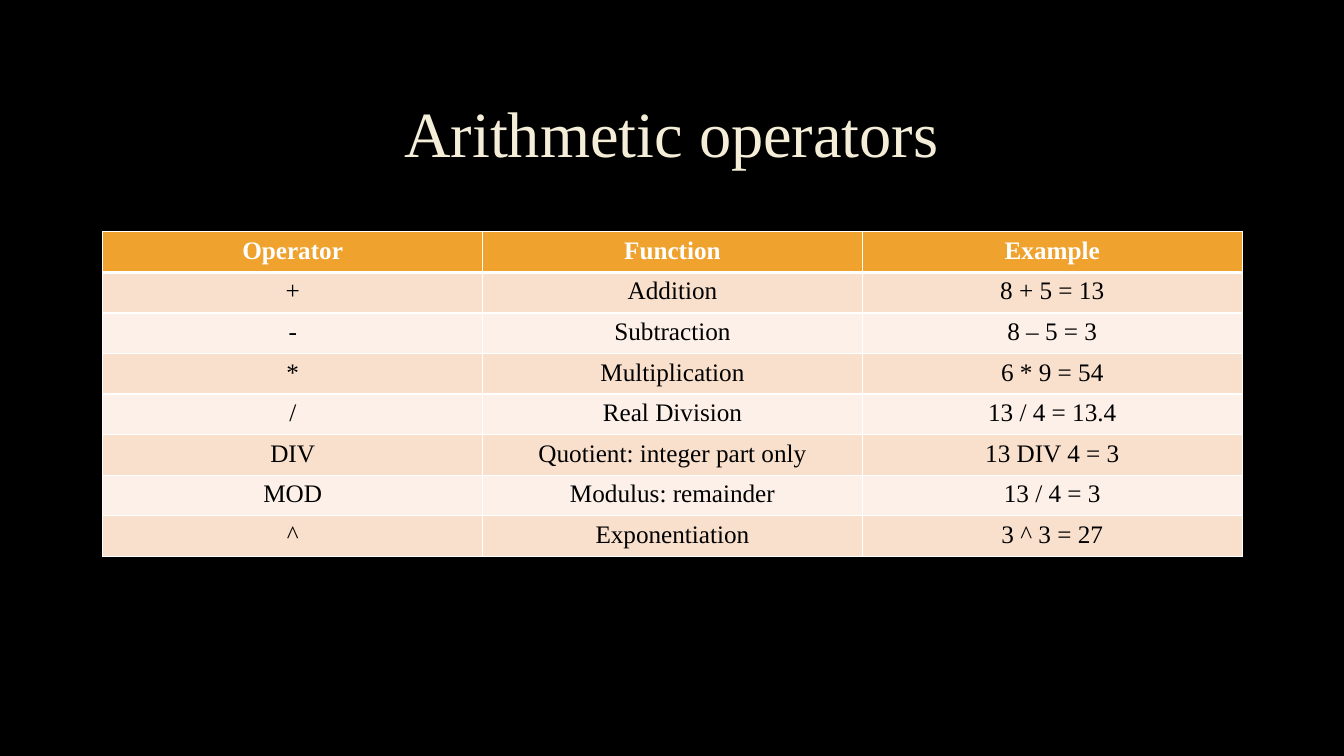
from lxml import etree
from pptx import Presentation
from pptx.dml.color import RGBColor
from pptx.enum.text import MSO_ANCHOR, PP_ALIGN
from pptx.oxml.ns import qn
from pptx.util import Inches, Pt

MIDDLE = MSO_ANCHOR.MIDDLE
CENTER = PP_ALIGN.CENTER
FONT = "Times New Roman"
WIDE, HIGH = Inches(13.33), Inches(7.5)
BLACK, WHITE, CREAM = "000000", "FFFFFF", "F4EDD8"
HEAD, BANDS = "F0A22E", ("F9E0CD", "FCF0E8")
ROWS = (
    ("Operator", "Function", "Example"),
    ("+", "Addition", "8 + 5 = 13"),
    ("-", "Subtraction", "8 – 5 = 3"),
    ("*", "Multiplication", "6 * 9 = 54"),
    ("/", "Real Division", "13 / 4 = 13.4"),
    ("DIV", "Quotient: integer part only", "13 DIV 4 = 3"),
    ("MOD", "Modulus: remainder", "13 / 4 = 3"),
    ("^", "Exponentiation", "3 ^ 3 = 27"),
)


def paint(color, tone):
    color.rgb = RGBColor.from_string(tone)


def write(frame, text, size, tone, bold=False):
    para = frame.paragraphs[0]
    para.alignment = CENTER
    run = para.add_run()
    run.text = text
    run.font.name = FONT
    run.font.size = Pt(size)
    run.font.bold = bold
    paint(run.font.color, tone)
    return para


def edge(cell, side, width):
    props = cell._tc.get_or_add_tcPr()
    line = etree.SubElement(props, qn(f"a:ln{side}"), w=str(Pt(width)))
    fill = etree.SubElement(line, qn("a:solidFill"))
    etree.SubElement(fill, qn("a:srgbClr"), val=WHITE)


def add_title(slide, box, text):
    frame = slide.shapes.add_textbox(*box).text_frame
    frame.word_wrap = True
    frame.vertical_anchor = MIDDLE
    write(frame, text, 46, CREAM).line_spacing = 0.9


def add_grid(slide, box, rows):
    left, top, width, height = box
    count = len(rows[0])
    table = slide.shapes.add_table(len(rows), count, *box).table
    for col in table.columns:
        col.width = width // count
    for i, texts in enumerate(rows):
        table.rows[i].height = height // len(rows)
        head = i == 0
        for j, text in enumerate(texts):
            cell = table.cell(i, j)
            edge(cell, "L", 1)
            edge(cell, "R", 1)
            edge(cell, "T", 3 if i == 1 else 1)
            edge(cell, "B", 3 if head else 1)
            cell.fill.solid()
            paint(cell.fill.fore_color, HEAD if head else BANDS[(i - 1) % 2])
            write(cell.text_frame, text, 18, WHITE if head else BLACK, head)


def main():
    deck = Presentation()
    deck.slide_width, deck.slide_height = WIDE, HIGH
    slide = deck.slides.add_slide(deck.slide_layouts[6])
    slide.background.fill.solid()
    paint(slide.background.fill.fore_color, BLACK)
    add_title(slide, (Inches(1), Inches(0.67), Inches(11.32), Inches(1.38)),
              "Arithmetic operators")
    add_grid(slide, (Inches(1.02), Inches(2.3), Inches(11.3), Inches(3.22)), ROWS)
    deck.save("out.pptx")


if __name__ == "__main__":
    main()
